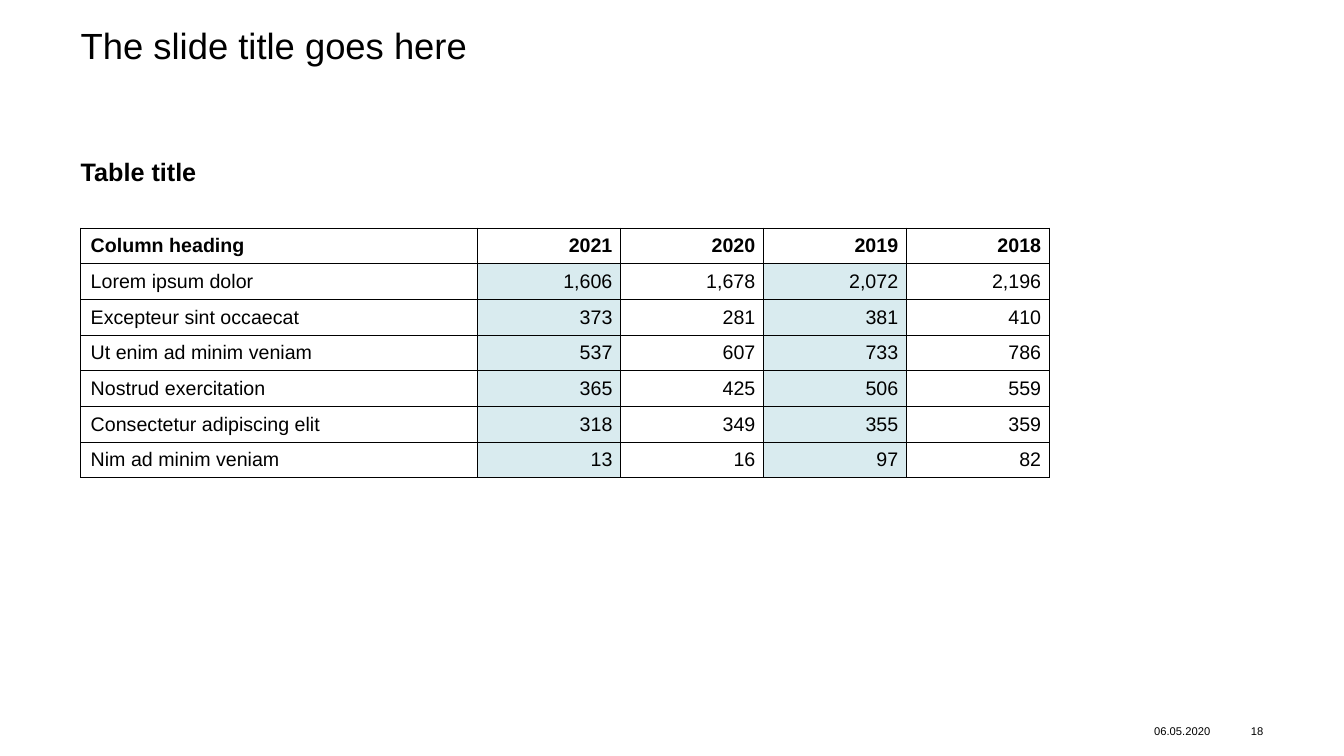
from dataclasses import dataclass

from lxml import etree
from pptx import Presentation
from pptx.dml.color import RGBColor
from pptx.enum.text import MSO_ANCHOR, MSO_AUTO_SIZE, PP_ALIGN
from pptx.oxml.ns import qn
from pptx.util import Pt

LEFT, RIGHT = PP_ALIGN.LEFT, PP_ALIGN.RIGHT
TOP, MIDDLE = MSO_ANCHOR.TOP, MSO_ANCHOR.MIDDLE
NO_AUTOFIT = MSO_AUTO_SIZE.NONE

FONT = "Arial"
BLACK, WHITE, TEAL = "000000", "FFFFFF", "007A96"
TINT_OPACITY = 15
MARGIN = 57.6
CONTENT_WIDTH = 844.8
FOOTER_TOP, FOOTER_HEIGHT = 513.4, 17.3
TABLE_TOP = 162.9
COLUMN_WIDTHS = [283.6] + [102.1] * 4
ROW_HEIGHT = 25.5
THIN, HEADING_RULE = 0.75, 0.96

TABLE_ROWS = [
    ["Column heading", "2021", "2020", "2019", "2018"],
    ["Lorem ipsum dolor", "1,606", "1,678", "2,072", "2,196"],
    ["Excepteur sint occaecat", "373", "281", "381", "410"],
    ["Ut enim ad minim veniam", "537", "607", "733", "786"],
    ["Nostrud exercitation", "365", "425", "506", "559"],
    ["Consectetur adipiscing elit", "318", "349", "355", "359"],
    ["Nim ad minim veniam", "13", "16", "97", "82"],
]


@dataclass(frozen=True)
class Label:
    text: str
    left: float
    top: float
    width: float
    height: float
    size: float
    bold: bool = False
    align: PP_ALIGN = LEFT
    anchor: MSO_ANCHOR = TOP
    line_spacing: float = 1.0


TITLE = Label("The slide title goes here", MARGIN, 20.2, CONTENT_WIDTH, 70.6, 26,
              line_spacing=0.9)
LABELS = [
    Label("Table title", MARGIN, 111.6, CONTENT_WIDTH, 31, 18, bold=True),
    Label("06.05.2020", 824.4, FOOTER_TOP, 48.2, FOOTER_HEIGHT, 8, anchor=MIDDLE),
    Label("18", 877, FOOTER_TOP, 25.4, FOOTER_HEIGHT, 8, align=RIGHT, anchor=MIDDLE),
]


def colour(value: str) -> RGBColor:
    return RGBColor.from_string(value)


def set_attributes(target, values: dict) -> None:
    for name, value in values.items():
        setattr(target, name, value)


def write_text(frame, text: str, size: float, bold: bool, align: PP_ALIGN) -> None:
    para = frame.paragraphs[0]
    para.alignment = align
    span = para.add_run()
    span.text = text
    set_attributes(span.font, {"name": FONT, "size": Pt(size), "bold": bold})
    span.font.color.rgb = colour(BLACK)


def fill_label(box, label: Label) -> None:
    """Place a text box or placeholder and write its label."""
    set_attributes(box, {"left": Pt(label.left), "top": Pt(label.top),
                         "width": Pt(label.width), "height": Pt(label.height)})
    frame = box.text_frame
    set_attributes(frame, {
        "margin_left": 0, "margin_top": 0, "margin_right": 0, "margin_bottom": 0,
        "word_wrap": True, "auto_size": NO_AUTOFIT, "vertical_anchor": label.anchor})
    write_text(frame, label.text, label.size, label.bold, label.align)
    frame.paragraphs[0].line_spacing = label.line_spacing


def set_borders(cell, top: float, bottom: float) -> None:
    properties = cell._tc.get_or_add_tcPr()
    for side, width in {"lnL": THIN, "lnR": THIN, "lnT": top, "lnB": bottom}.items():
        line = etree.SubElement(properties, qn(f"a:{side}"), w=str(int(Pt(width))))
        solid = etree.SubElement(line, qn("a:solidFill"))
        etree.SubElement(solid, qn("a:srgbClr"), val=BLACK)


def fill_cell(cell, row: int, column: int) -> None:
    """Leave the heading clear and tint every second column below it."""
    if row == 0:
        cell.fill.background()
        return
    tinted = column % 2 == 1
    cell.fill.solid()
    cell.fill.fore_color.rgb = colour(TEAL if tinted else WHITE)
    if tinted:
        shade = cell._tc.tcPr.find(qn("a:solidFill")).find(qn("a:srgbClr"))
        etree.SubElement(shade, qn("a:alpha"), val=str(TINT_OPACITY * 1000))


def add_figures_table(page) -> None:
    table = page.shapes.add_table(
        len(TABLE_ROWS), len(COLUMN_WIDTHS), Pt(MARGIN), Pt(TABLE_TOP),
        Pt(sum(COLUMN_WIDTHS)), Pt(ROW_HEIGHT * len(TABLE_ROWS))).table
    set_attributes(table, {"first_row": False, "horz_banding": False})
    for column, width in zip(table.columns, COLUMN_WIDTHS):
        column.width = Pt(width)
    for row, values in enumerate(TABLE_ROWS):
        table.rows[row].height = Pt(ROW_HEIGHT)
        for column, value in enumerate(values):
            cell = table.cell(row, column)
            set_attributes(cell, {
                "margin_left": Pt(7.2), "margin_right": Pt(5.8),
                "margin_top": Pt(3.6), "margin_bottom": Pt(3.6),
                "vertical_anchor": MIDDLE})
            write_text(cell.text_frame, value, 14, row == 0, RIGHT if column else LEFT)
            set_borders(cell, top=HEADING_RULE if row == 1 else THIN,
                        bottom=HEADING_RULE if row == 0 else THIN)
            fill_cell(cell, row, column)


def main() -> None:
    deck = Presentation()
    set_attributes(deck, {"slide_width": Pt(960), "slide_height": Pt(540)})
    page = deck.slides.add_slide(deck.slide_layouts.get_by_name("Title Only"))
    fill_label(page.shapes.title, TITLE)
    for label in LABELS:
        fill_label(page.shapes.add_textbox(0, 0, 0, 0), label)
    add_figures_table(page)
    deck.save("out.pptx")


if __name__ == "__main__":
    main()
